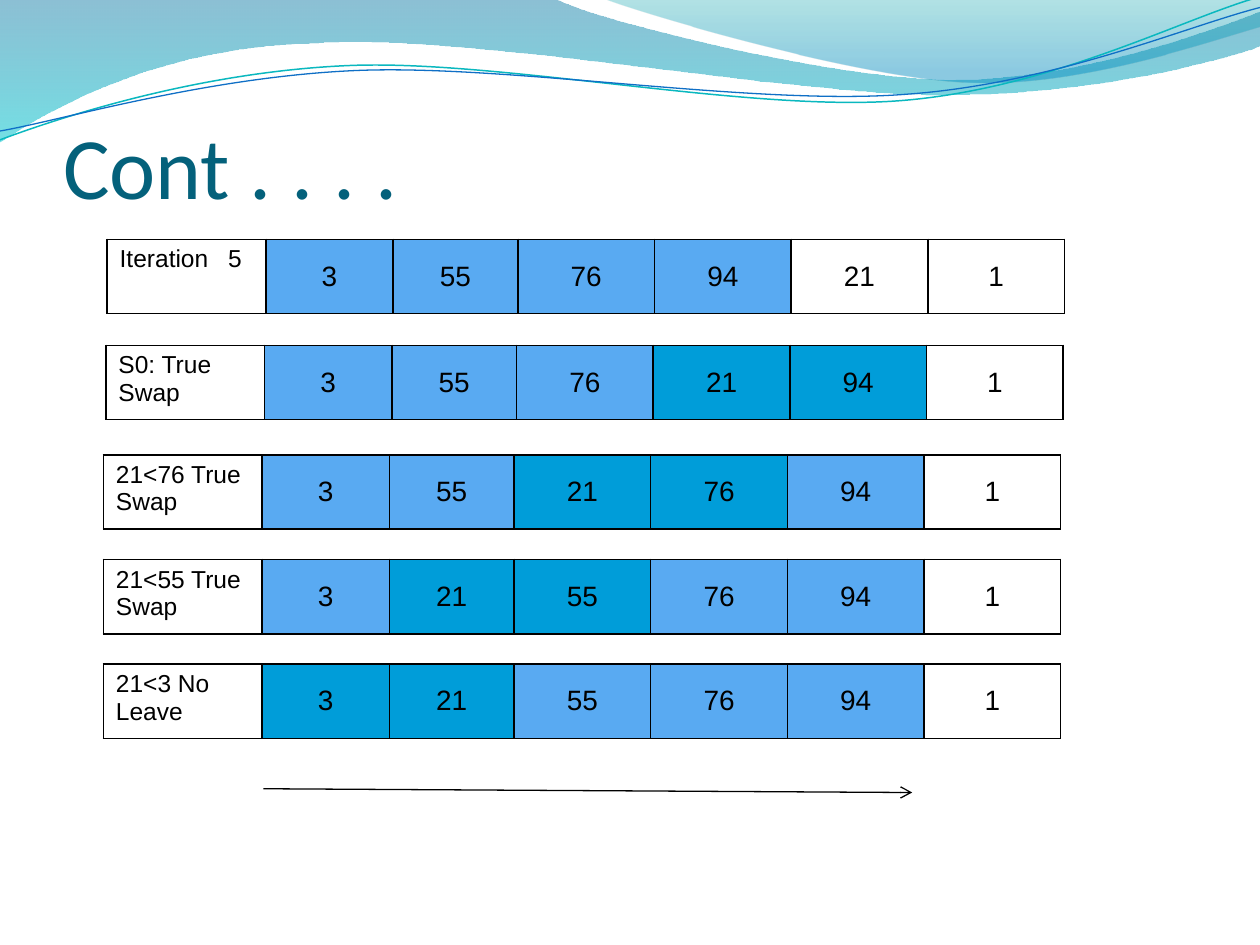
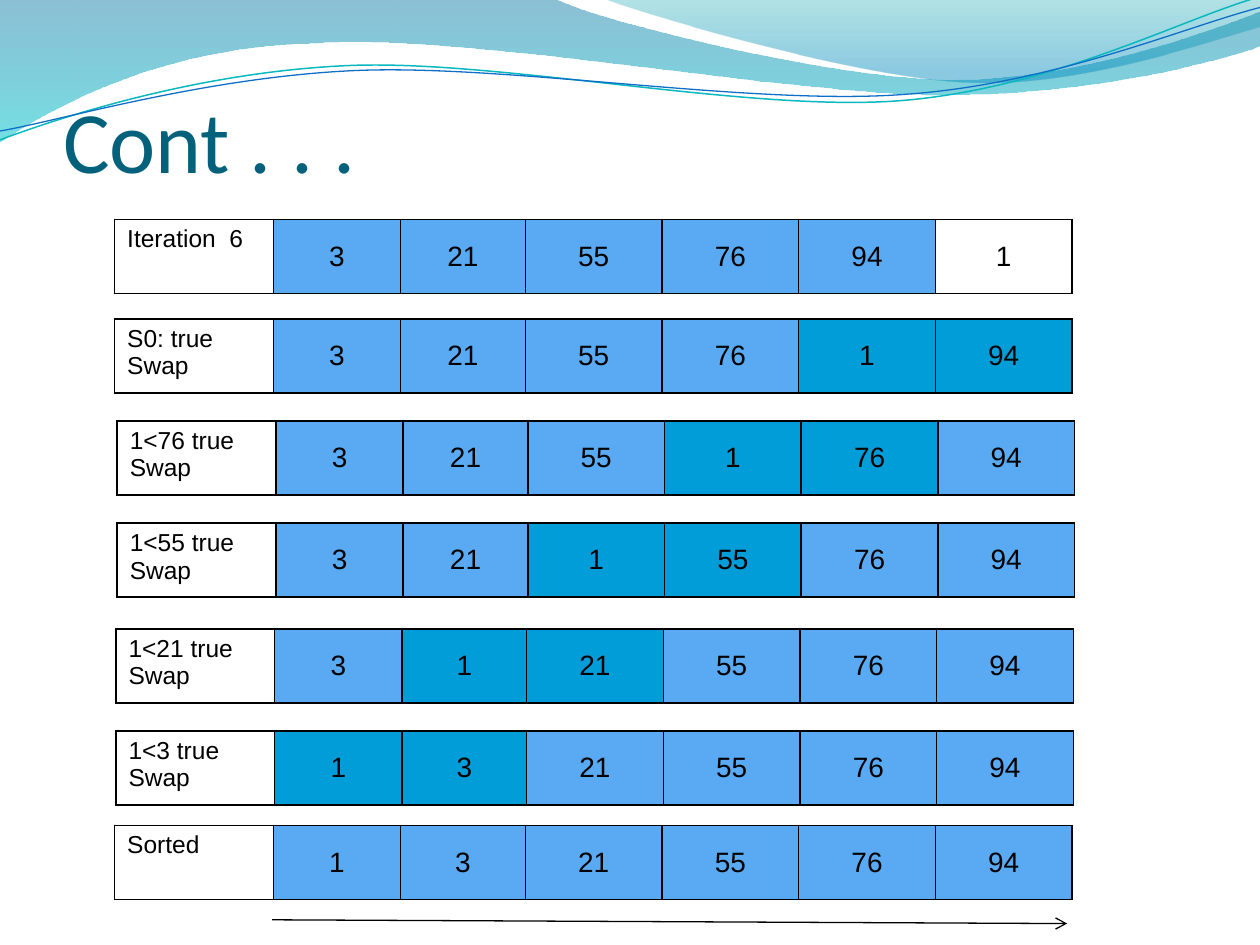
"""Build two slides that trace the last passes of an insertion sort."""
import math
import pptx
import pptx.util
import pptx.dml.color
import pptx.enum.shapes
import pptx.enum.text
import pptx.oxml.ns
from pptx.util import Inches, Pt

HUES = {"ink": "000000", "plain": "FFFFFF", "sorted": "59AAF2", "moved": "009DD9",
        "title": "04617B", "teal": "0AB8BF", "blue": "0F6FC6",
        "deep": "0074A1", "aqua": "00C6CF", "sea": "00A1A9", "sky": "008BBF"}

SLIDES = [
    {"title": "Cont . . . .", "top": 0.47, "done": 4, "tab": 0.86,
     "arrow": (2.09, 6.26, 7.24, 6.29),
     "rows": [
         (0.85, 1.90, ["Iteration\t5"], [3, 55, 76, 94, 21, 1], None),
         (0.84, 2.74, ["S0: True", "Swap"], [3, 55, 76, 21, 94, 1], 3),
         (0.82, 3.61, ["21<76 True", "Swap"], [3, 55, 21, 76, 94, 1], 2),
         (0.82, 4.44, ["21<55 True", "Swap"], [3, 21, 55, 76, 94, 1], 1),
         (0.82, 5.27, ["21<3 No", "Leave"], [3, 21, 55, 76, 94, 1], 0)]},
    {"title": "Cont . . .", "top": 0.27, "done": 5, "tab": 0.81,
     "arrow": (2.16, 7.30, 8.47, 7.33),
     "rows": [
         (0.91, 1.74, ["Iteration\t6"], [3, 21, 55, 76, 94, 1], None),
         (0.91, 2.53, ["S0: true", "Swap"], [3, 21, 55, 76, 1, 94], 4),
         (0.93, 3.34, ["1<76 true", "Swap"], [3, 21, 55, 1, 76, 94], 3),
         (0.93, 4.15, ["1<55 true", "Swap"], [3, 21, 1, 55, 76, 94], 2),
         (0.92, 4.99, ["1<21 true", "Swap"], [3, 1, 21, 55, 76, 94], 1),
         (0.92, 5.80, ["1<3 true", "Swap"], [1, 3, 21, 55, 76, 94], 0),
         (0.91, 6.55, ["Sorted"], [1, 3, 21, 55, 76, 94], None)]},
]
WIDE, HIGH = 7.6, 0.59
FIRST = [1.26, 1.01, 0.99]
COLS = FIRST + [(WIDE - sum(FIRST)) / 4] * 4

TURN = 357.3
BANDS = [
    {"start": (0, 0), "stops": [(0, "deep", 45), (1, "aqua", 55)],
     "parts": [[(4.4, -0.01)],
               [(4.76, 0.17), (6.64, 0.63), (7.58, 0.63)],
               [(8.53, 0.63), (9.58, 0.26), (10, 0.09)],
               [(10.01, 0.36)],
               [(9.83, 0.44), (8.7, 0.76), (7.46, 0.75)],
               [(6.22, 0.75), (3.82, 0.28), (2.57, 0.34)],
               [(1.29, 0.36), (0.46, 0.83), (-0.01, 1.13)],
               [(0, 0)]]},
    {"start": (4.79, -0.01), "stops": [(0, "sea", 30), (0.8, "sky", 45)],
     "parts": [[(5.09, 0.11), (6.82, 0.62), (7.69, 0.65)],
               [(8.56, 0.69), (9.61, 0.32), (10, 0.21)],
               [(10, 0)],
               [(4.79, -0.01)]]},
    {"start": (0, 1.11), "line": ("teal", 0.85), "mid": (4.99, 0.58),
     "parts": [[(0.48, 0.93), (1.58, 0.57), (2.77, 0.52)],
               [(3.95, 0.47), (5.93, 0.89), (7.13, 0.8)],
               [(8.33, 0.71), (9.38, 0.15), (9.98, -0.02)]]},
    {"start": (0, 1.04), "line": ("blue", 0.75), "mid": (5, 0.59),
     "parts": [[(0.47, 0.96), (1.64, 0.61), (2.83, 0.56)],
               [(4.03, 0.51), (5.97, 0.84), (7.17, 0.75)],
               [(8.36, 0.67), (9.41, 0.21), (10, 0.06)]]},
]


def rgb(name):
    return pptx.dml.color.RGBColor.from_string(HUES[name])


def sub(node, tag, **attrs):
    item = node.makeelement(pptx.oxml.ns.qn(tag), attrs)
    node.append(item)
    return item


def level(spot, mid):
    angle = math.radians(360 - TURN)
    x, y = spot[0] - mid[0], spot[1] - mid[1]
    return (mid[0] + x * math.cos(angle) - y * math.sin(angle),
            mid[1] + x * math.sin(angle) + y * math.cos(angle))


def bend(shape, parts):
    legs = list(shape.element.iter(pptx.oxml.ns.qn("a:lnTo")))
    for part in parts:
        group, legs = legs[:len(part)], legs[len(part):]
        if len(group) == 3:
            curve = group[0].makeelement(pptx.oxml.ns.qn("a:cubicBezTo"), {})
            group[0].addprevious(curve)
            for leg in group:
                curve.append(leg[0])
                leg.getparent().remove(leg)


def draw_band(slide, band):
    spots = [band["start"]] + [spot for part in band["parts"] for spot in part]
    if "mid" in band:
        spots = [level(spot, band["mid"]) for spot in spots]
    spots = [(Inches(x), Inches(y)) for x, y in spots]
    pen = slide.shapes.build_freeform(*spots[0], scale=1.0)
    pen.add_line_segments(spots[1:], close="stops" in band)
    shape = pen.convert_to_shape()
    bend(shape, band["parts"])
    shape.shadow.inherit = False
    if "line" in band:
        hue, width = band["line"]
        shape.rotation = TURN
        shape.fill.background()
        shape.line.color.rgb = rgb(hue)
        shape.line.width = Pt(width)
        return shape
    shape.line.fill.background()
    shape.fill.gradient()
    shape.fill.gradient_angle = 270
    for stop, (place, hue, alpha) in zip(shape.fill.gradient_stops, band["stops"]):
        stop.position = place
        stop.color.rgb = rgb(hue)
    tints = shape.element.spPr.iter(pptx.oxml.ns.qn("a:srgbClr"))
    for tint, (place, hue, alpha) in zip(tints, band["stops"]):
        sub(tint, "a:alpha", val=str(alpha * 1000))
    return shape


def share_bands(slide):
    tree = slide.slide_layout.shapes._spTree
    for rank, band in enumerate(BANDS):
        tree.insert(2 + rank, draw_band(slide, band).element)


def write(para, text, face, size, hue):
    run = para.add_run()
    run.text = text
    run.font.name = face
    run.font.size = Pt(size)
    run.font.color.rgb = rgb(hue)


def set_title(slide, text, top):
    title = slide.shapes.title
    title.left, title.top = Inches(0.5), Inches(top)
    title.width, title.height = Inches(9.08), Inches(1.25)
    frame = title.text_frame
    frame.auto_size = pptx.enum.text.MSO_AUTO_SIZE.NONE
    frame.word_wrap = True
    frame.vertical_anchor = pptx.enum.text.MSO_ANCHOR.BOTTOM
    frame.margin_left = frame.margin_right = frame.margin_bottom = 0
    frame.margin_top = Inches(0.05)
    para = frame.paragraphs[0]
    para.alignment = pptx.enum.text.PP_ALIGN.LEFT
    write(para, text, "Calibri", 50, "title")


def style_cell(cell, hue):
    props = cell._tc.get_or_add_tcPr()
    for side in ("a:lnL", "a:lnR", "a:lnT", "a:lnB"):
        edge = sub(props, side, w=str(Pt(1)))
        sub(sub(edge, "a:solidFill"), "a:srgbClr", val=HUES["ink"])
    cell.fill.solid()
    cell.fill.fore_color.rgb = rgb(hue)


def add_row(slide, row, done, tab):
    left, top, label, values, pair = row
    table = slide.shapes.add_table(1, len(COLS), Inches(left), Inches(top),
                                   Inches(WIDE), Inches(HIGH)).table
    table.first_row = table.horz_banding = False
    for col, width in zip(table.columns, COLS):
        col.width = Inches(width)
    head = table.cell(0, 0)
    style_cell(head, "plain")
    frame = head.text_frame
    for rank, text in enumerate(label):
        para = frame.add_paragraph() if rank else frame.paragraphs[0]
        if "\t" in text:
            tabs = sub(para._p.get_or_add_pPr(), "a:tabLst")
            sub(tabs, "a:tab", pos=str(Inches(tab)), algn="l")
        write(para, text, "Arial", 14, "ink")
    for rank, value in enumerate(values):
        cell = table.cell(0, rank + 1)
        moved = pair is not None and rank in (pair, pair + 1)
        style_cell(cell, "moved" if moved else "sorted" if rank < done else "plain")
        cell.vertical_anchor = pptx.enum.text.MSO_ANCHOR.MIDDLE
        para = cell.text_frame.paragraphs[0]
        para.alignment = pptx.enum.text.PP_ALIGN.CENTER
        write(para, str(value), "Arial", 16, "ink")


def add_arrow(slide, ends):
    kind = pptx.enum.shapes.MSO_CONNECTOR.STRAIGHT
    arrow = slide.shapes.add_connector(kind, *map(Inches, ends))
    arrow.line.color.rgb = rgb("ink")
    arrow.line.width = Pt(0.75)
    sub(arrow.line._get_or_add_ln(), "a:tailEnd", type="arrow")
    sub(arrow.element.spPr, "a:effectLst")


def main():
    deck = pptx.Presentation()
    deck.slide_width, deck.slide_height = Inches(10), Inches(7.5)
    for rank, page in enumerate(SLIDES):
        slide = deck.slides.add_slide(deck.slide_layouts[5])
        if rank == 0:
            share_bands(slide)
        set_title(slide, page["title"], page["top"])
        for step, row in enumerate(page["rows"]):
            add_row(slide, row, page["done"] + (step > 0), page["tab"])
        add_arrow(slide, page["arrow"])
    deck.save("out.pptx")


if __name__ == "__main__":
    main()
